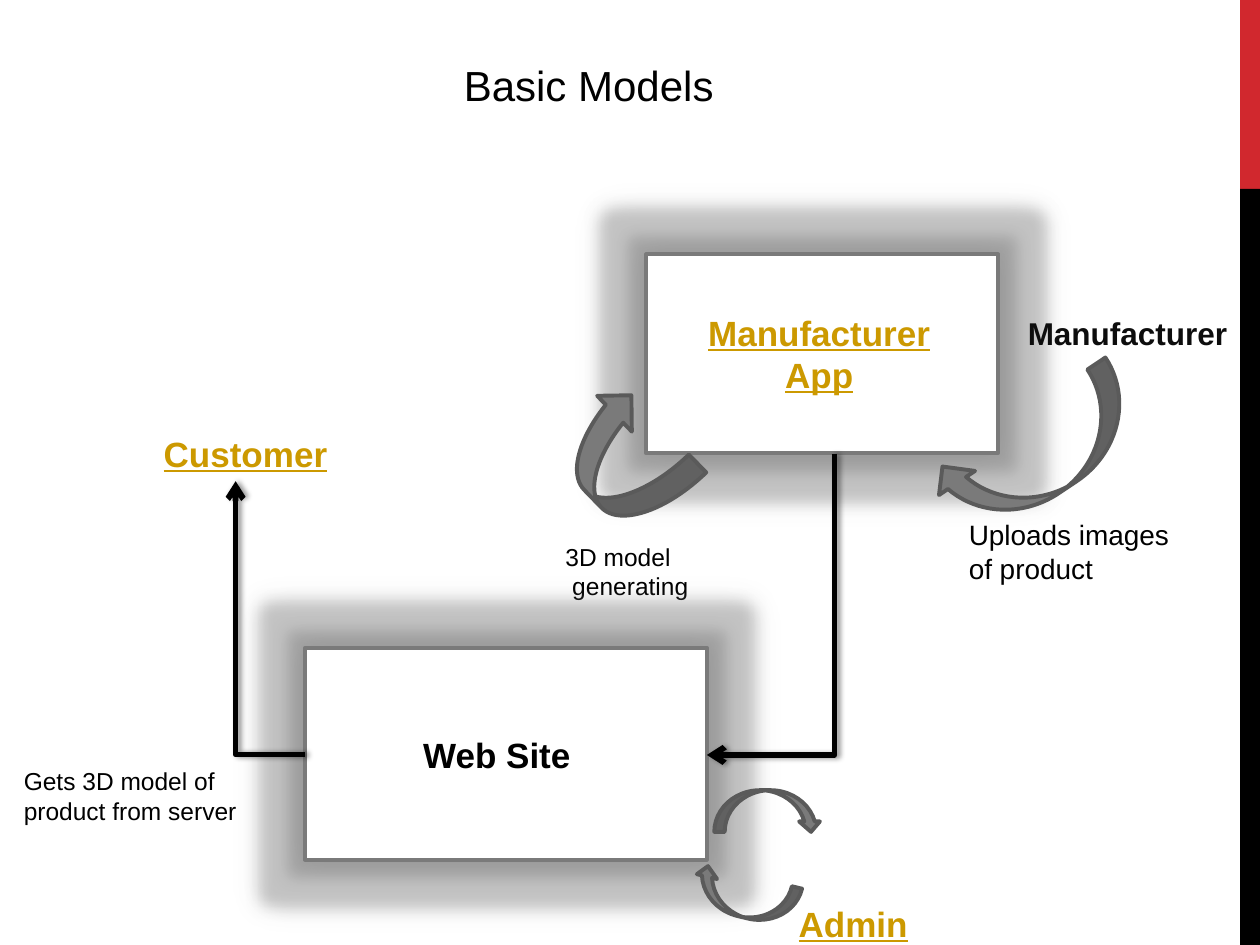
from lxml import etree
from pptx import Presentation
from pptx import util as u
from pptx.dml.color import RGBColor
from pptx.enum import shapes, text
from pptx.oxml import parse_xml
from pptx.oxml.ns import nsdecls, qn

BLACK, WHITE, GRAY, DARK, GOLD = "000000", "FFFFFF", "7A7A7A", "5A5A5A", "CC9900"
GLOW = (f'<a:glow rad="228600"><a:srgbClr val="{GRAY}"><a:alpha val="40000"/></a:srgbClr></a:glow>'
        f'<a:outerShdw blurRad="190500" dist="0"><a:srgbClr val="{GRAY}">'
        '<a:alpha val="40000"/></a:srgbClr></a:outerShdw>')
SHADOW = ('<a:outerShdw blurRad="39370" dist="22860" dir="0"><a:srgbClr val="000000">'
          '<a:alpha val="40000"/></a:srgbClr></a:outerShdw>')


def color(value):
    """Turn a hex string into a colour."""
    return RGBColor.from_string(value)


def set_effects(shape, effects):
    """Give a shape the listed effects in place of its theme effects."""
    properties = shape._element.spPr
    for old in properties.findall(qn("a:effectLst")):
        properties.remove(old)
    properties.append(parse_xml(f'<a:effectLst {nsdecls("a")}>{effects}</a:effectLst>'))


def add_block(page, kind, box, fill, line=None, rotation=0):
    """Add a filled preset shape with an optional outline."""
    block = page.shapes.add_shape(kind, *map(u.Cm, box))
    block.shadow.inherit = False
    block.fill.solid()
    block.fill.fore_color.rgb = color(fill)
    if line:
        block.line.color.rgb = color(line)
        block.line.width = u.Pt(2.25)
    else:
        block.line.fill.background()
    block.rotation = rotation
    return block


def add_label(page, box, lines, size, ink=BLACK, bold=False, link=False, wrap=False, align=None):
    """Add a text box with one paragraph for each line."""
    label = page.shapes.add_textbox(*map(u.Cm, box))
    frame = label.text_frame
    frame.word_wrap = wrap
    frame.text = "\n".join(lines)
    for para in frame.paragraphs:
        para.alignment = align
        para.font.name = "Arial"
        para.font.size = u.Pt(size)
        para.font.bold = bold
        para.font.underline = link
        para.font.color.rgb = color(ink)


def add_loop(page, box, rotation=0):
    """Add a curved arrow turned by the given angle."""
    add_block(page, shapes.MSO_SHAPE.CURVED_DOWN_ARROW, box, GRAY, DARK, rotation)


def add_glowing_box(page, box):
    """Add a white box with a soft gray glow."""
    block = add_block(page, shapes.MSO_SHAPE.RECTANGLE, box, WHITE, GRAY)
    set_effects(block, GLOW)


def add_elbow(page, box, rotation):
    """Add a one-corner arrow turned by the given angle."""
    left, top, width, height = box
    elbow = page.shapes.add_connector(shapes.MSO_CONNECTOR.ELBOW, u.Cm(left), u.Cm(top),
                                      u.Cm(left + width), u.Cm(top + height))
    properties = elbow._element.spPr
    properties.find(qn("a:prstGeom")).set("prst", "bentConnector2")
    properties.find(qn("a:xfrm")).set("rot", str(rotation * 60000))
    elbow.line.color.rgb = color(BLACK)
    elbow.line.width = u.Pt(3.25)
    etree.SubElement(properties.find(qn("a:ln")), qn("a:tailEnd"), type="arrow")
    set_effects(elbow, SHADOW)


def add_side_band(page, left, top, width, height):
    """Draw the red and black band, split at one fifth of its height."""
    split = height / 5
    add_block(page, shapes.MSO_SHAPE.RECTANGLE, (left, top, width, split), "D1282E")
    add_block(page, shapes.MSO_SHAPE.RECTANGLE, (left, top + split, width, height - split), BLACK)


def add_app(page, left, top, width, height):
    """Draw the manufacturer app with its model generating loop."""
    add_glowing_box(page, (left, top, width, height))
    add_label(page, (left - 1.88, top + 5.67, 3.1, 1.45), ["3D model", " generating"], 14, wrap=True)
    add_loop(page, (left - 1.78, top + 3.13, 2.67, 2.01), 225.9)
    add_label(page, (left + 0.97, top + 1.02, 5.03, 1.96), ["Manufacturer", "App"], 20, GOLD,
              bold=True, link=True, align=text.PP_ALIGN.CENTER)


def add_manufacturer(page, left, top):
    """Draw the manufacturer and the upload arrow."""
    add_label(page, (left + 1.72, top, 4.57, 1.02), ["Manufacturer"], 18, "0D0D0D", bold=True)
    add_loop(page, (left, top + 2.08, 4.39, 1.75), 146.2)
    add_label(page, (left + 0.53, top + 4.11, 4.75, 1.63), ["Uploads images", "of product"], 16)


def add_site(page, left, top, width, height):
    """Draw the web site with the admin loop at its corner."""
    add_glowing_box(page, (left, top, width, height))
    add_label(page, (left + 2.13, top + 1.6, 3.51, 1.12), ["Web Site"], 20, bold=True)
    add_loop(page, (left + 8.25, top + 2.87, 2.16, 0.84))
    add_loop(page, (left + 7.79, top + 4.59, 2.16, 0.84), 193.5)
    add_label(page, (left + 9.7, top + 5, 2.72, 1.12), ["Admin"], 20, GOLD, bold=True, link=True)


def add_customer(page, left, top):
    """Draw the customer and the note on what is fetched."""
    add_label(page, (left + 2.82, top, 3.84, 1.12), ["Customer"], 20, GOLD, bold=True, link=True)
    add_label(page, (left, top + 6.73, 5.18, 1.45),
              ["Gets 3D model of", "product from server"], 14, wrap=True)


def main():
    """Build and save the slide."""
    deck = Presentation()
    deck.slide_width, deck.slide_height = u.Cm(25.4), u.Cm(19.05)
    page = deck.slides.add_slide(deck.slide_layouts[6])
    add_side_band(page, 25, 0, 0.4, 19.05)
    add_label(page, (9.1, 1.07, 6.05, 1.27), ["Basic Models"], 24, wrap=True)
    add_app(page, 13.03, 5.13, 7.09, 4.01)
    add_site(page, 6.15, 13.06, 8.1, 4.27)
    add_manufacturer(page, 18.75, 6.2)
    add_customer(page, 0.23, 8.59)
    add_elbow(page, (12.5, 10.9, 6.07, 2.57), 90)
    add_elbow(page, (4.75, 9.7, 1.4, 5.51), 180)
    deck.save("out.pptx")


if __name__ == "__main__":
    main()
